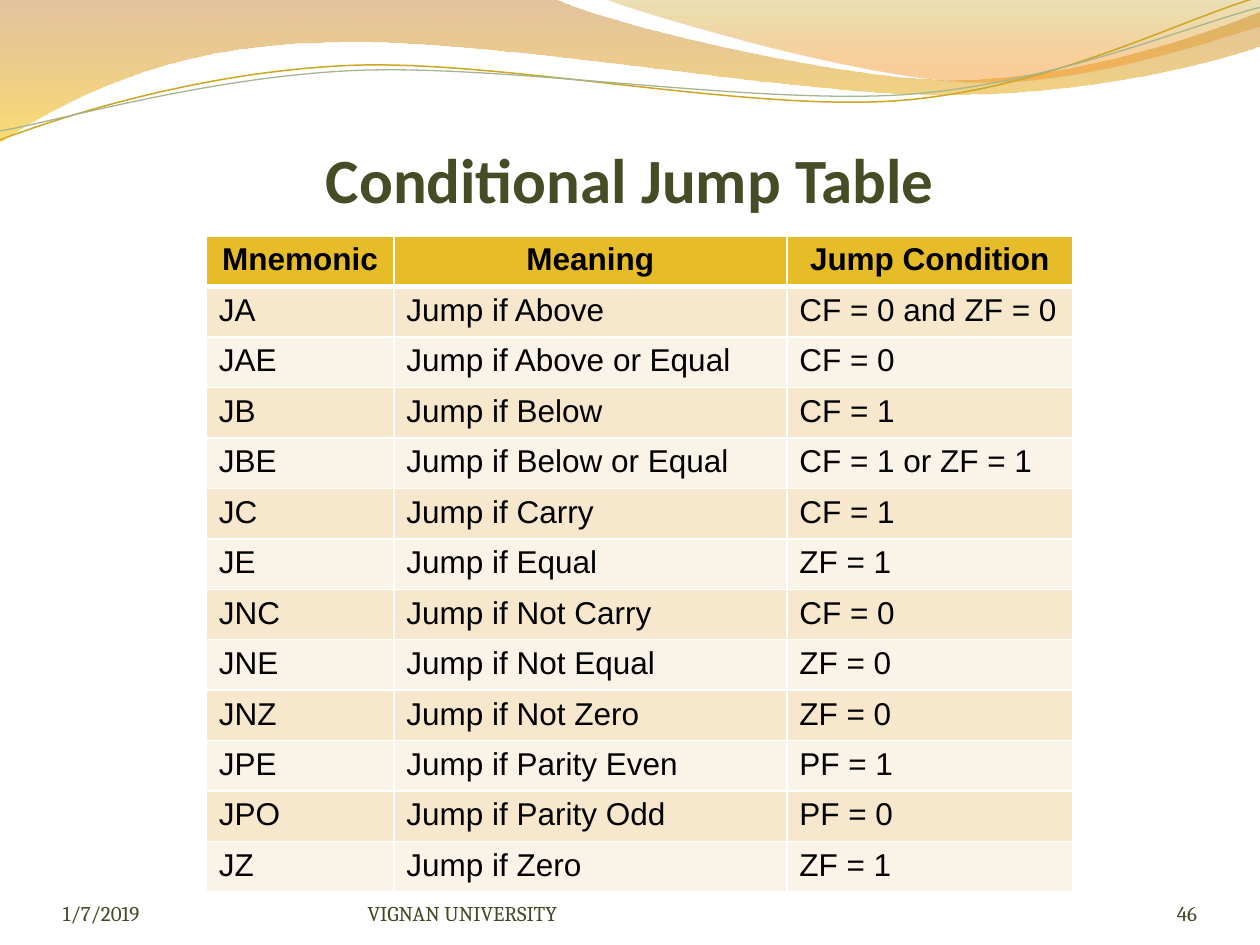
from lxml.etree import SubElement
from pptx import Presentation
from pptx.dml.color import RGBColor
from pptx.enum.text import MSO_ANCHOR, PP_ALIGN
from pptx.oxml.ns import qn
from pptx.util import Cm, Pt

# Each outline is a start point, then segments: one point is a line, three points a curve (cm).
BAND = [(0, -0.03), [(11.18, -0.03)],
        [(12.09, 0.43), (16.87, 1.6), (19.25, 1.6)],
        [(21.69, 1.6), (24.33, 0.66), (25.4, 0.23)], [(25.43, 0.91)],
        [(24.97, 1.12), (22.1, 1.93), (18.95, 1.91)],
        [(15.8, 1.91), (9.7, 0.71), (6.53, 0.86)],
        [(3.28, 0.89), (1.17, 2.11), (-0.03, 2.87)]]
HIGHLIGHT = [(12.17, -0.03), [(12.93, 0.28), (17.32, 1.57), (19.53, 1.65)],
             [(21.74, 1.75), (24.41, 0.81), (25.4, 0.53)], [(25.4, 0)]]
GOLD_WAVE = [(0, 2.82), [(1.22, 2.36), (4.01, 1.45), (7.04, 1.32)],
             [(10.03, 1.19), (15.06, 2.26), (18.11, 2.03)],
             [(21.16, 1.8), (23.83, 0.38), (25.35, -0.05)]]
GREEN_WAVE = [(0, 2.64), [(1.19, 2.44), (4.17, 1.55), (7.19, 1.42)],
              [(10.24, 1.3), (15.16, 2.11), (18.21, 1.91)],
              [(21.23, 1.7), (23.9, 0.53), (25.4, 0.15)]]

HEADINGS = ("Mnemonic", "Meaning", "Jump Condition")
JUMPS = [
    ("JA", "Jump if Above", "CF = 0 and ZF = 0"),
    ("JAE", "Jump if Above or Equal", "CF = 0"),
    ("JB", "Jump if Below", "CF = 1"),
    ("JBE", "Jump if Below or Equal", "CF = 1 or ZF = 1"),
    ("JC", "Jump if Carry", "CF = 1"),
    ("JE", "Jump if Equal", "ZF = 1"),
    ("JNC", "Jump if Not Carry", "CF = 0"),
    ("JNE", "Jump if Not Equal", "ZF = 0"),
    ("JNZ", "Jump if Not Zero", "ZF = 0"),
    ("JPE", "Jump if Parity Even", "PF = 1"),
    ("JPO", "Jump if Parity Odd", "PF = 0"),
    ("JZ", "Jump if Zero", "ZF = 1"),
]
COLUMN_WIDTHS = (3.78, 7.92, 5.77)
HEADER_FILL, ODD_FILL, EVEN_FILL = "E7BC29", "F6E7CD", "FAF3E8"


def color(value):
    return RGBColor.from_string(value)


def style_text(paragraph, size, font_name, text_color, bold=False, align=PP_ALIGN.LEFT):
    paragraph.alignment = align
    for span in paragraph.runs:
        font = span.font
        font.size, font.name, font.bold = Pt(size), font_name, bold
        font.color.rgb = color(text_color)


def add_text(page, text, left, top, width, height, size, font_name, text_color,
             bold=False, align=PP_ALIGN.LEFT, inset_top=0):
    box = page.shapes.add_textbox(Cm(left), Cm(top), Cm(width), Cm(height))
    frame = box.text_frame
    frame.word_wrap = True
    frame.vertical_anchor = MSO_ANCHOR.BOTTOM
    frame.margin_left = frame.margin_right = frame.margin_bottom = 0
    frame.margin_top = Cm(inset_top)
    frame.text = text
    style_text(frame.paragraphs[0], size, font_name, text_color, bold, align)


def bend_segments(shape, segments):
    """Turn the straight segments that have control points into Bezier curves."""
    lines = list(shape.element.iter(qn("a:lnTo")))
    for line, segment in zip(lines, segments):
        if len(segment) == 1:
            continue
        curve = line.makeelement(qn("a:cubicBezTo"))
        for x, y in segment:
            SubElement(curve, qn("a:pt"), x=str(Cm(x) - shape.left), y=str(Cm(y) - shape.top))
        line.getparent().replace(line, curve)


def add_outline(page, outline, close):
    start, *segments = outline
    corners = [(Cm(x), Cm(y)) for x, y in (segment[-1] for segment in segments)]
    builder = page.shapes.build_freeform(Cm(start[0]), Cm(start[1]))
    builder.add_line_segments(corners, close=close)
    shape = builder.convert_to_shape()
    shape.shadow.inherit = False
    bend_segments(shape, segments)
    return shape


def add_gradient_area(page, outline, stops):
    """Fill an outline from top to bottom; a stop is position, colour and opacity in percent."""
    shape = add_outline(page, outline, close=True)
    shape.line.fill.background()
    shape.fill.gradient()
    shape.fill.gradient_angle = 270
    for stop, (position, stop_color, _) in zip(shape.fill.gradient_stops, stops):
        stop.position = position / 100
        stop.color.rgb = color(stop_color)
    for element, (_, _, opacity) in zip(shape.element.iter(qn("a:srgbClr")), stops):
        SubElement(element, qn("a:alpha"), val=str(opacity * 1000))


def add_wave(page, outline, line_color, width):
    shape = add_outline(page, outline, close=False)
    shape.fill.background()
    shape.line.color.rgb = color(line_color)
    shape.line.width = Pt(width)


def set_borders(cell, top, bottom):
    properties = cell._tc.get_or_add_tcPr()
    for side, width in (("L", 1), ("R", 1), ("T", top), ("B", bottom)):
        line = SubElement(properties, qn(f"a:ln{side}"), w=str(Pt(width)))
        SubElement(SubElement(line, qn("a:solidFill")), qn("a:srgbClr"), val="FFFFFF")


def add_jump_table(page):
    rows = [HEADINGS, *JUMPS]
    table = page.shapes.add_table(len(rows), len(HEADINGS), Cm(4.16), Cm(4.76),
                                  Cm(sum(COLUMN_WIDTHS)), Cm(13.19)).table
    for column, width in zip(table.columns, COLUMN_WIDTHS):
        column.width = Cm(width)
    for row_index, texts in enumerate(rows):
        header = row_index == 0
        fill = HEADER_FILL if header else ODD_FILL if row_index % 2 else EVEN_FILL
        for column_index, text in enumerate(texts):
            cell = table.cell(row_index, column_index)
            set_borders(cell, top=3 if row_index == 1 else 1, bottom=3 if header else 1)
            cell.fill.solid()
            cell.fill.fore_color.rgb = color(fill)
            cell.text = text
            style_text(cell.text_frame.paragraphs[0], 18, "Arial", "000000", header,
                       PP_ALIGN.CENTER if header else PP_ALIGN.LEFT)


def add_footer(page, text, left, width, text_color="414A24", align=PP_ALIGN.LEFT):
    add_text(page, text, left, 17.65, width, 1.02, 12, "Cambria", text_color, align=align)


def main():
    deck = Presentation()
    deck.slide_width, deck.slide_height = Cm(25.4), Cm(19.05)
    page = deck.slides.add_slide(deck.slide_layouts[6])

    add_gradient_area(page, BAND, [(0, "C07A28", 45), (100, "F7BF00", 55)])
    add_gradient_area(page, HIGHLIGHT, [(0, "C09709", 30), (80, "F59320", 45)])
    add_wave(page, GOLD_WAVE, "CCA624", 0.85)
    add_wave(page, GREEN_WAVE, "A5B592", 0.75)

    add_text(page, "Conditional Jump Table", 1.27, 1.95, 22.86, 2.41, 36, "Calibri",
             "444D26", bold=True, align=PP_ALIGN.CENTER, inset_top=0.13)
    add_jump_table(page)
    add_footer(page, "1/7/2019", 1.27, 5.92)
    add_footer(page, "46", 22.02, 2.11, "404924", PP_ALIGN.RIGHT)
    add_footer(page, "VIGNAN UNIVERSITY", 7.41, 9.32)
    deck.save("out.pptx")


if __name__ == "__main__":
    main()
